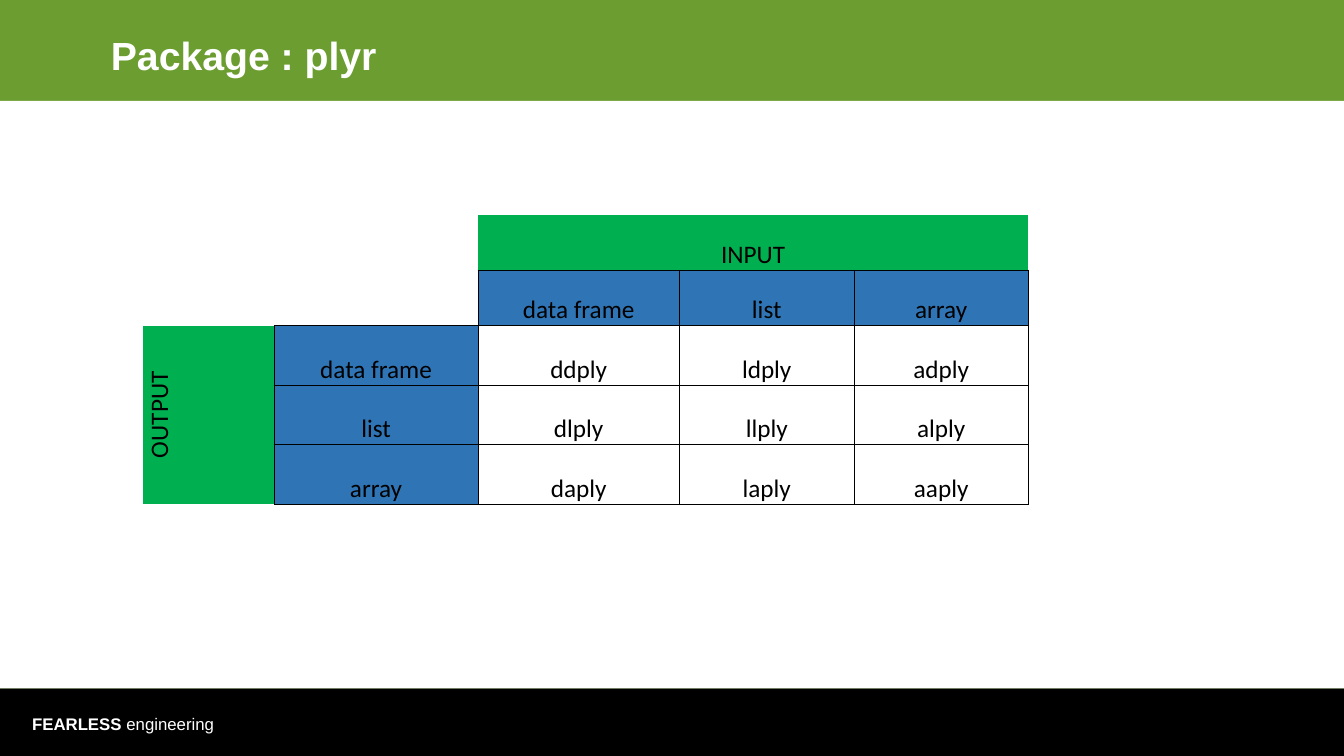
from lxml import etree
from pptx import Presentation, util as u
from pptx.dml.color import RGBColor
from pptx.enum import shapes, text
from pptx.oxml import ns

COLORS = {"band": "6C9D30", "foot": "000000", "page": "FFFFFF", "ink": "000000",
          "axis": "00B050", "head": "2F75B5"}
WIDE, HIGH = 13.33, 7.5
KINDS = ["data frame", "list", "array"]
COLS = [1.3, 2.02, 2, 1.73, 1.73]
ROWS = [0.55, 0.55, 0.59, 0.59, 0.59]
SIDES = {"L": (0, -1), "R": (0, 1), "T": (-1, 0), "B": (1, 0)}


def color(name):
    """Look up a colour by its role."""
    return RGBColor.from_string(COLORS[name])


def style(run, face, size, ink, bold=False):
    """Set the font of one run."""
    font = run.font
    font.name, font.size, font.bold = face, u.Pt(size), bold
    font.color.rgb = color(ink)


def place(box):
    """Turn a box in inches into lengths."""
    return [u.Inches(n) for n in box]


def panel(slide, box, fill):
    """Add a plain filled rectangle."""
    rect = slide.shapes.add_shape(shapes.MSO_SHAPE.RECTANGLE, *place(box))
    rect.shadow.inherit = False
    rect.fill.solid()
    rect.fill.fore_color.rgb = color(fill)
    rect.line.fill.background()


def footer(slide, box):
    """Draw the bottom bar with its motto."""
    left, top, wide, high = box
    panel(slide, box, "foot")
    label = slide.shapes.add_textbox(*place((left + 0.22, top + 0.2, 5.78, 0.3)))
    frame = label.text_frame
    frame.word_wrap = True
    frame.vertical_anchor = text.MSO_ANCHOR.MIDDLE
    para = frame.paragraphs[0]
    for word, bold in (("FEARLESS", True), (" engineering", False)):
        run = para.add_run()
        run.text = word
        style(run, "Arial", 12, "page", bold)


def header(slide, box):
    """Place and format the title."""
    title = slide.shapes.title
    title.left, title.top, title.width, title.height = place(box)
    frame = title.text_frame
    frame.text = "Package : plyr"
    frame.word_wrap = True
    frame.vertical_anchor = text.MSO_ANCHOR.MIDDLE
    para = frame.paragraphs[0]
    para.alignment = text.PP_ALIGN.LEFT
    style(para.runs[0], "Arial", 28, "page", True)


def boxed(row, col):
    """Tell whether a cell has a full outline."""
    return 1 <= row < len(ROWS) and 1 <= col < len(COLS) and row + col > 2


def border(cell, row, col):
    """Draw each edge that touches an outlined cell, and clear the rest."""
    props = cell._tc.get_or_add_tcPr()
    for spot, (side, (down, right)) in enumerate(SIDES.items()):
        line = etree.Element(ns.qn("a:ln" + side), w=str(u.Pt(0.5)))
        if boxed(row, col) or boxed(row + down, col + right):
            fill = etree.SubElement(line, ns.qn("a:solidFill"))
            etree.SubElement(fill, ns.qn("a:srgbClr"), val=COLORS["ink"])
        else:
            etree.SubElement(line, ns.qn("a:noFill"))
        props.insert(spot, line)


def content(row, col):
    """Give the words and fill of a cell."""
    if (row, col) == (0, 2):
        return "INPUT", "axis"
    if (row, col) == (2, 0):
        return "OUTPUT", "axis"
    if not boxed(row, col):
        return "", None
    if row == 1:
        return KINDS[col - 2], "head"
    if col == 1:
        return KINDS[row - 2], "head"
    return KINDS[col - 2][0] + KINDS[row - 2][0] + "ply", None


def matrix(slide, box):
    """Build the table of functions by input and output."""
    grid = slide.shapes.add_table(len(ROWS), len(COLS), *place(box)).table
    grid.first_row = grid.horz_banding = False
    for part, size in zip(grid.columns, COLS):
        part.width = u.Inches(size)
    for part, size in zip(grid.rows, ROWS):
        part.height = u.Inches(size)
    grid.cell(0, 2).merge(grid.cell(0, 4))
    grid.cell(2, 0).merge(grid.cell(4, 0))
    for row in range(len(ROWS)):
        for col in range(len(COLS)):
            cell = grid.cell(row, col)
            words, fill = content(row, col)
            if fill:
                cell.fill.solid()
                cell.fill.fore_color.rgb = color(fill)
            else:
                cell.fill.background()
            border(cell, row, col)
            if words:
                cell.margin_left = cell.margin_right = cell.margin_top = u.Inches(0.01)
                cell.margin_bottom = 0
                cell.vertical_anchor = text.MSO_ANCHOR.BOTTOM
                para = cell.text_frame.paragraphs[0]
                para.text = words
                para.alignment = text.PP_ALIGN.CENTER
                style(para.runs[0], "Calibri", 18, "ink")
    grid.cell(2, 0)._tc.get_or_add_tcPr().set("vert", "vert270")


def build():
    """Assemble the slide and save it."""
    deck = Presentation()
    deck.slide_width, deck.slide_height = u.Inches(WIDE), u.Inches(HIGH)
    slide = deck.slides.add_slide(deck.slide_layouts[5])
    back = slide.background.fill
    back.solid()
    back.fore_color.rgb = color("band")
    top, base = 1, 6.83
    footer(slide, (0, base, WIDE, HIGH - base))
    panel(slide, (0, top, WIDE, base - top), "page")
    header(slide, (1, 0.17, 11.33, 0.75))
    matrix(slide, (1.42, 2.13, sum(COLS), sum(ROWS)))
    deck.save("out.pptx")


build()
